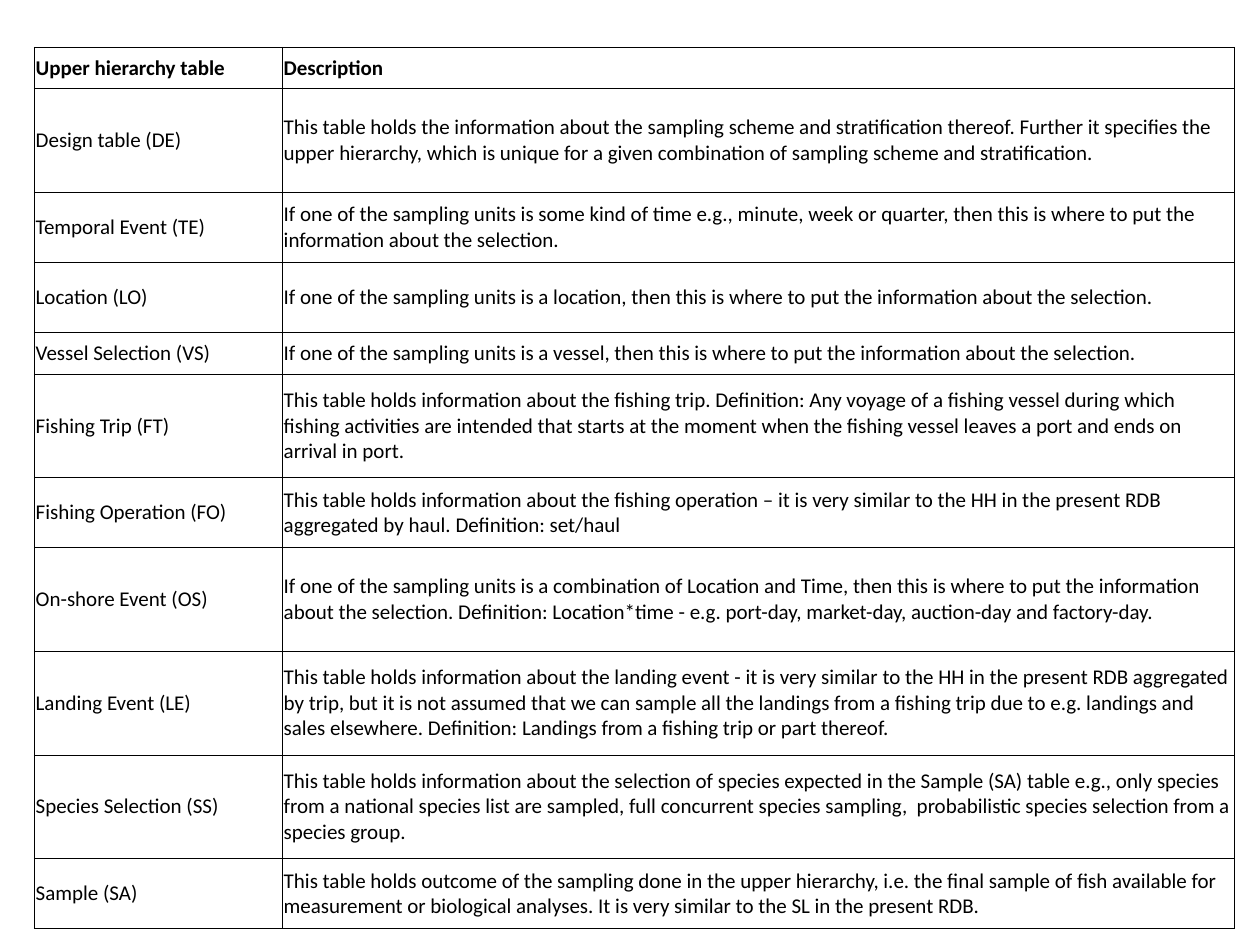
from collections import namedtuple
from dataclasses import dataclass

from lxml.etree import SubElement
from pptx import Presentation
from pptx.dml.color import RGBColor
from pptx.enum.text import MSO_ANCHOR as Anchor
from pptx.oxml.ns import qn
from pptx.util import Cm, Pt

Box = namedtuple("Box", "left top width height")


@dataclass(frozen=True)
class Theme:
    font: str = "Calibri"
    text_size: Pt = Pt(12)
    ink: str = "000000"
    paper: str = "FFFFFF"
    rule_width: Pt = Pt(0.45)


THEME = Theme()
NAME_WIDTH = Cm(5)
SIDE_MARGIN = Cm(0.03)
# Row height by the number of text lines the row has room for
ROW_HEIGHTS = {1: Cm(0.84), 2: Cm(1.41), 3: Cm(2.09)}

# Lines of room, table name, description
HIERARCHY = [
    (1, "Upper hierarchy table", "Description"),
    (3, "Design table (DE)",
     "This table holds the information about the sampling scheme and stratification thereof. "
     "Further it specifies the upper hierarchy, which is unique for a given combination of "
     "sampling scheme and stratification."),
    (2, "Temporal Event (TE)",
     "If one of the sampling units is some kind of time e.g., minute, week or quarter, then "
     "this is where to put the information about the selection."),
    (2, "Location (LO)",
     "If one of the sampling units is a location, then this is where to put the information "
     "about the selection."),
    (1, "Vessel Selection (VS)",
     "If one of the sampling units is a vessel, then this is where to put the information "
     "about the selection."),
    (3, "Fishing Trip (FT)",
     "This table holds information about the fishing trip. Definition: Any voyage of a fishing "
     "vessel during which fishing activities are intended that starts at the moment when the "
     "fishing vessel leaves a port and ends on arrival in port."),
    (2, "Fishing Operation (FO)",
     "This table holds information about the fishing operation – it is very similar to the HH "
     "in the present RDB aggregated by haul. Definition: set/haul"),
    (3, "On-shore Event (OS)",
     "If one of the sampling units is a combination of Location and Time, then this is where to "
     "put the information about the selection. Definition: Location*time - e.g. port-day, "
     "market-day, auction-day and factory-day."),
    (3, "Landing Event (LE)",
     "This table holds information about the landing event - it is very similar to the HH in "
     "the present RDB aggregated by trip, but it is not assumed that we can sample all the "
     "landings from a fishing trip due to e.g. landings and sales elsewhere. Definition: "
     "Landings from a fishing trip or part thereof."),
    (3, "Species Selection (SS)",
     "This table holds information about the selection of species expected in the Sample (SA) "
     "table e.g., only species from a national species list are sampled, full concurrent "
     "species sampling,  probabilistic species selection from a species group."),
    (2, "Sample (SA)",
     "This table holds outcome of the sampling done in the upper hierarchy, i.e. the final "
     "sample of fish available for measurement or biological analyses. It is very similar to "
     "the SL in the present RDB."),
]


def add_borders(cell):
    properties = cell._tc.get_or_add_tcPr()
    for side in ("a:lnL", "a:lnR", "a:lnT", "a:lnB"):
        line = SubElement(properties, qn(side), w=str(THEME.rule_width))
        fill = SubElement(line, qn("a:solidFill"))
        SubElement(fill, qn("a:srgbClr"), val=THEME.ink)


def fill_cell(cell, text, bold):
    add_borders(cell)
    cell.fill.solid()
    cell.fill.fore_color.rgb = RGBColor.from_string(THEME.paper)
    cell.vertical_anchor = Anchor.MIDDLE
    cell.margin_left = cell.margin_right = SIDE_MARGIN
    cell.text = text
    font = cell.text_frame.paragraphs[0].font
    font.name = THEME.font
    font.size = THEME.text_size
    font.bold = bold
    font.color.rgb = RGBColor.from_string(THEME.ink)


def add_hierarchy_table(slide, box):
    table = slide.shapes.add_table(len(HIERARCHY), 2, *box).table
    table.horz_banding = False
    table.columns[0].width = NAME_WIDTH
    table.columns[1].width = box.width - NAME_WIDTH
    for index, (lines, *texts) in enumerate(HIERARCHY):
        row = table.rows[index]
        row.height = ROW_HEIGHTS[lines]
        for cell, text in zip(row.cells, texts):
            fill_cell(cell, text, bold=index == 0)


def main():
    deck = Presentation()
    deck.slide_width, deck.slide_height = Cm(25.4), Cm(19.05)
    slide = deck.slides.add_slide(deck.slide_layouts.get_by_name("Blank"))
    height = sum(ROW_HEIGHTS[lines] for lines, *_ in HIERARCHY)
    add_hierarchy_table(slide, Box(Cm(0.69), Cm(0.95), Cm(24.2), height))
    deck.save("out.pptx")


if __name__ == "__main__":
    main()
